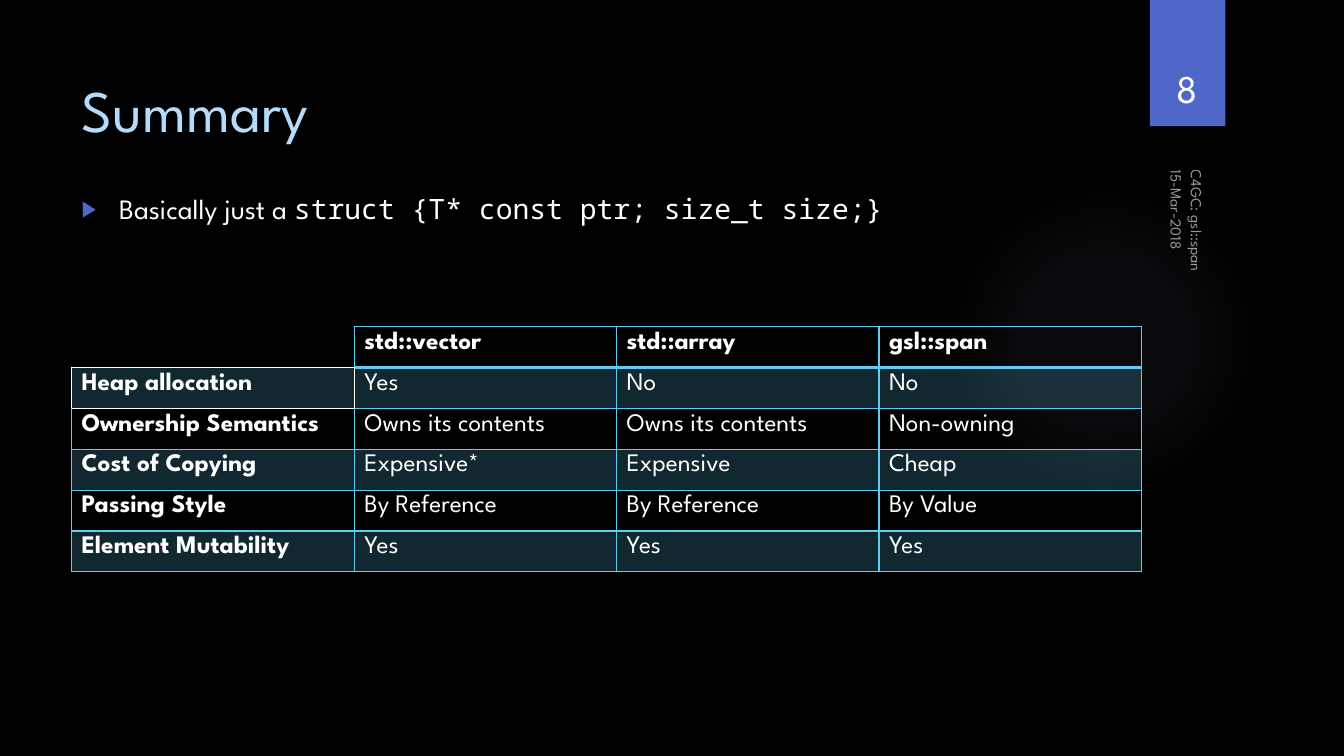
from dataclasses import dataclass

from pptx import Presentation
from pptx import util as u
from pptx.dml.color import RGBColor
from pptx.enum import shapes, text
from pptx.oxml import parse_xml
from pptx.oxml.ns import nsdecls, qn


@dataclass(frozen=True)
class Theme:
    background: str = "000000"
    body: str = "FFFFFF"
    title: str = "B4DCFA"
    accent: str = "4E67C8"
    grid: str = "5ECCF3"
    glow: str = "919ACA"
    font: str = "League Spartan"
    mono: str = "Noto Sans Mono"
    title_size: int = 42
    number_size: int = 28
    body_size: int = 20
    table_size: int = 18
    footer_size: int = 11


def set_alpha(el, percent):
    for color in el.iter(qn("a:srgbClr")):
        color.append(parse_xml(f'<a:alpha {nsdecls("a")} val="{percent * 1000}"/>'))


class Deck:
    SIDES = {"L": (0, -1), "R": (0, 1), "T": (-1, 0), "B": (1, 0)}

    def __init__(self, prs, theme):
        self.theme = theme
        self.s = prs.slides.add_slide(prs.slide_layouts[1])
        fill = self.s.background.fill
        fill.solid()
        fill.fore_color.rgb = RGBColor.from_string(theme.background)

    def place(self, sp, box):
        sp.left, sp.top, sp.width, sp.height = (u.Cm(v) for v in box)

    def format(self, r, size, color=None, font=None, bold=False):
        r.font.size = u.Pt(size)
        r.font.name = font or self.theme.font
        r.font.bold = bold
        r.font.color.rgb = RGBColor.from_string(color or self.theme.body)

    def shape(self, kind, box, color):
        sp = self.s.shapes.add_shape(kind, *(u.Cm(v) for v in box))
        sp.shadow.inherit = False
        sp.line.fill.background()
        sp.fill.solid()
        sp.fill.fore_color.rgb = RGBColor.from_string(color)
        return sp

    def glow(self, box, stops):
        sp = self.shape(shapes.MSO_SHAPE.OVAL, box, self.theme.glow)
        gs = "".join(
            f'<a:gs pos="{pos * 1000}"><a:srgbClr val="{self.theme.glow}">'
            f'<a:alpha val="{alpha * 1000}"/></a:srgbClr></a:gs>'
            for pos, alpha in stops)
        props = sp._element.spPr
        props.replace(props.find(qn("a:solidFill")), parse_xml(
            f'<a:gradFill {nsdecls("a")}><a:gsLst>{gs}</a:gsLst><a:path path="circle">'
            '<a:fillToRect l="50000" t="50000" r="50000" b="50000"/></a:path></a:gradFill>'))

    def title(self, words, box):
        sp = self.s.shapes.title
        self.place(sp, box)
        tf = sp.text_frame
        tf.text = words
        tf.auto_size = text.MSO_AUTO_SIZE.NONE
        tf.vertical_anchor = text.MSO_ANCHOR.TOP
        tf.margin_top, tf.margin_bottom = u.Cm(0.58), 0
        p = tf.paragraphs[0]
        p.alignment = text.PP_ALIGN.LEFT
        self.format(p.runs[0], self.theme.title_size, self.theme.title)

    def bullet(self, words, code, box):
        sp = self.s.placeholders[1]
        self.place(sp, box)
        tf = sp.text_frame
        tf.auto_size = text.MSO_AUTO_SIZE.NONE
        p = tf.paragraphs[0]
        p.space_before = u.Pt(10)
        for part, font in ((words, self.theme.font), (code, self.theme.mono)):
            r = p.add_run()
            r.text = part
            self.format(r, self.theme.body_size, font=font)
        props = p._p.get_or_add_pPr()
        indent = u.Cm(0.95)
        props.set("marL", str(indent))
        props.set("indent", str(-indent))
        for tag in (f'buClr {nsdecls("a")}><a:srgbClr val="{self.theme.accent}"/></a:buClr',
                    f'buSzPct {nsdecls("a")} val="80000"/',
                    f'buFont {nsdecls("a")} typeface="Arial"/',
                    f'buChar {nsdecls("a")} char="▶"/'):
            props.append(parse_xml(f"<a:{tag}>"))

    def label(self, words, box, size, rotation=0, alpha=100,
              anchor=text.MSO_ANCHOR.TOP, align=text.PP_ALIGN.LEFT):
        sp = self.s.shapes.add_textbox(*(u.Cm(v) for v in box))
        sp.rotation = rotation
        tf = sp.text_frame
        tf.word_wrap = True
        tf.vertical_anchor = anchor
        tf.text = words
        p = tf.paragraphs[0]
        p.alignment = align
        self.format(p.runs[0], size)
        if alpha < 100:
            set_alpha(p.runs[0]._r, alpha)

    def border(self, row, col, side):
        """Return the colour and width of one cell edge; no colour hides it."""
        dr, dc = self.SIDES[side]
        if (row, col) == (0, 0) and side in "LT":
            return None, 0
        if (1, 0) in ((row, col), (row + dr, col + dc)):
            return self.theme.body, 1
        under_header = (row, side) in ((0, "B"), (1, "T"))
        return self.theme.grid, 2 if under_header else 1

    def table(self, rows, left, top, widths, row_height):
        frame = self.s.shapes.add_table(
            len(rows), len(widths), u.Cm(left), u.Cm(top),
            u.Cm(sum(widths)), u.Cm(row_height * len(rows)))
        tbl = frame.table
        tbl.first_row = tbl.horz_banding = False
        for column, width in zip(tbl.columns, widths):
            column.width = u.Cm(width)
        for i, row in enumerate(rows):
            tbl.rows[i].height = u.Cm(row_height)
            for j, words in enumerate(row):
                self.cell(tbl.cell(i, j), words, i, j)

    def cell(self, cell, words, row, col):
        cell.text = words
        for r in cell.text_frame.paragraphs[0].runs:
            self.format(r, self.theme.table_size, bold=row == 0 or col == 0)
        props = cell._tc.get_or_add_tcPr()
        if row % 2:
            cell.fill.solid()
            cell.fill.fore_color.rgb = RGBColor.from_string(self.theme.grid)
            set_alpha(props, 20)
        else:
            cell.fill.background()
        for n, side in enumerate(self.SIDES):
            color, width = self.border(row, col, side)
            paint = (f'<a:solidFill><a:srgbClr val="{color}"/></a:solidFill>'
                     if color else "<a:noFill/>")
            props.insert(n, parse_xml(
                f'<a:ln{side} {nsdecls("a")} w="{u.Pt(width)}">{paint}</a:ln{side}>'))


prs = Presentation()
prs.slide_width, prs.slide_height = u.Cm(33.87), u.Cm(19.05)
theme = Theme()
deck = Deck(prs, theme)

# Backdrop
deck.glow((23.9, 4.65, 7.82, 7.82), ((0, 7), (36, 7), (69, 0)))
deck.shape(shapes.MSO_SHAPE.RECTANGLE, (28.98, 0, 1.9, 3.18), theme.accent)

# Title and bullet
deck.title("Summary", (1.8, 1.27, 26.14, 1.83))
deck.bullet("Basically just a ", "struct {T* const ptr; size_t size;}",
            (1.8, 4.7, 30.2, 13.79))

# Comparison table
deck.table([
    ("", "std::vector", "std::array", "gsl::span"),
    ("Heap allocation", "Yes", "No", "No"),
    ("Ownership Semantics", "Owns its contents", "Owns its contents", "Non-owning"),
    ("Cost of Copying", "Expensive*", "Expensive", "Cheap"),
    ("Passing Style", "By Reference", "By Reference", "By Value"),
    ("Element Mutability", "Yes", "Yes", "Yes"),
], 1.8, 8.23, (7.13, 6.61, 6.61, 6.61), 1.03)

# Date, footer and slide number
deck.label("15-Mar-2018", (28.17, 5.03, 2.84, 0.84), theme.footer_size, 90, 60)
deck.label("C4GC: gsl::span", (24.87, 8.97, 10.72, 0.84), theme.footer_size, 90, 60,
           anchor=text.MSO_ANCHOR.BOTTOM)
deck.label("8", (28.75, 0.81, 2.34, 2.13), theme.number_size,
           anchor=text.MSO_ANCHOR.BOTTOM, align=text.PP_ALIGN.CENTER)

prs.save("out.pptx")
